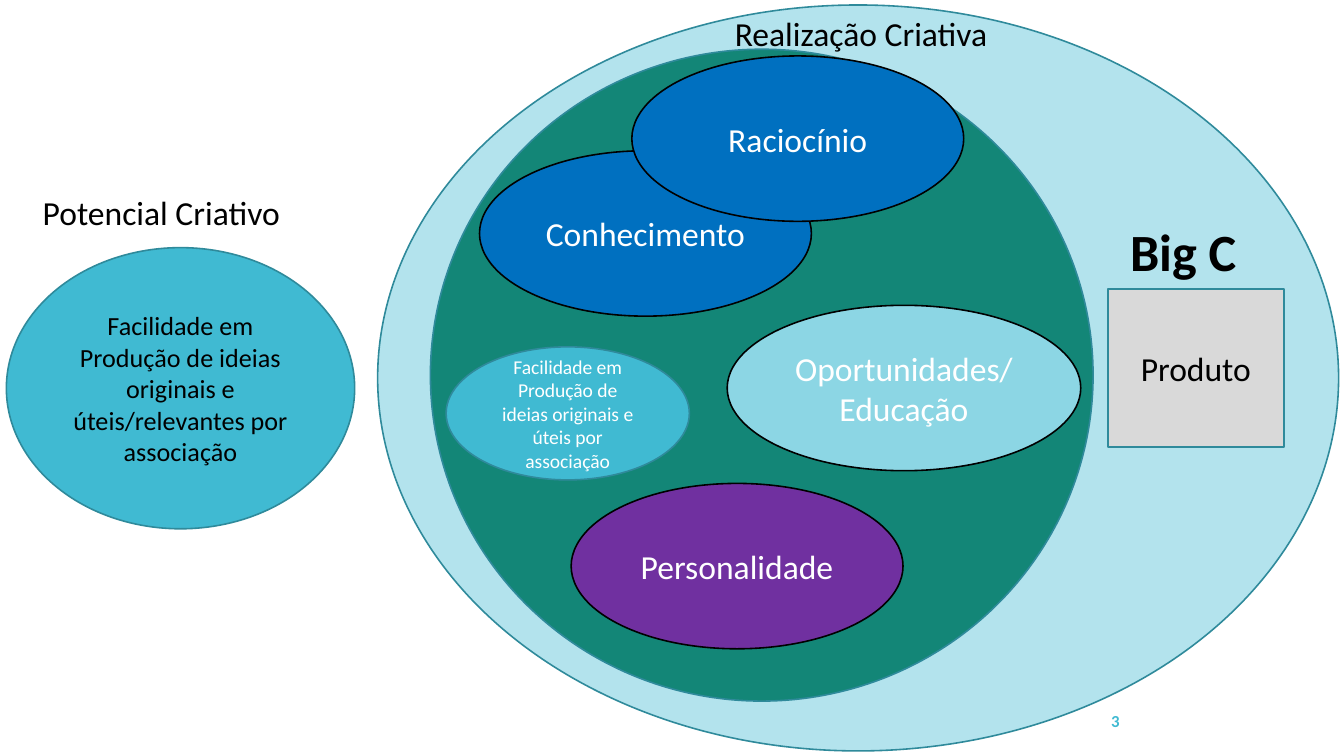
from pptx import Presentation
from pptx.dml.color import RGBColor
from pptx.enum.shapes import MSO_SHAPE
from pptx.enum.text import MSO_ANCHOR, PP_ALIGN
from pptx.util import Pt

OVAL, RECTANGLE = MSO_SHAPE.OVAL, MSO_SHAPE.RECTANGLE
MIDDLE = MSO_ANCHOR.MIDDLE
LEFT, CENTER, RIGHT = PP_ALIGN.LEFT, PP_ALIGN.CENTER, PP_ALIGN.RIGHT

BLACK = RGBColor(0x00, 0x00, 0x00)
WHITE = RGBColor(0xFF, 0xFF, 0xFF)
TEAL = RGBColor(0x40, 0xBA, 0xD2)
TEAL_OUTLINE = RGBColor(0x2F, 0x8A, 0x9B)
PALE_TEAL = RGBColor(0xB3, 0xE3, 0xED)
LIGHT_TEAL = RGBColor(0x8C, 0xD6, 0xE4)
GREEN = RGBColor(0x13, 0x86, 0x77)
BLUE = RGBColor(0x00, 0x70, 0xC0)
PURPLE = RGBColor(0x70, 0x30, 0xA0)
GRAY = RGBColor(0xD9, 0xD9, 0xD9)

FACTOR_WIDTH, FACTOR_HEIGHT = 177.8, 88.6


def write_text(shape, text, size, color, align, bold=False):
    """Put one formatted paragraph into a shape."""
    para = shape.text_frame.paragraphs[0]
    para.text = text
    para.alignment = align
    para.font.name = "Calibri"
    para.font.size = Pt(size)
    para.font.bold = bold
    para.font.color.rgb = color


def add_figure(page, kind, bounds, fill, outline=TEAL_OUTLINE,
               text="", size=18, color=WHITE):
    """Add a filled, outlined shape with optional centred text."""
    shape = page.shapes.add_shape(kind, *map(Pt, bounds))
    shape.shadow.inherit = False
    shape.fill.solid()
    shape.fill.fore_color.rgb = fill
    shape.line.color.rgb = outline
    shape.line.width = Pt(0.85)
    shape.text_frame.vertical_anchor = MIDDLE
    if text:
        write_text(shape, text, size, color, CENTER)


def add_factor(page, left, top, fill, text, width=FACTOR_WIDTH):
    """Add a black-outlined oval naming a factor of creative achievement."""
    add_figure(page, OVAL, (left, top, width, FACTOR_HEIGHT), fill, BLACK, text)


def add_label(page, bounds, text, size=18, bold=False):
    """Add a single-line black label."""
    box = page.shapes.add_textbox(*map(Pt, bounds))
    box.text_frame.word_wrap = False
    write_text(box, text, size, BLACK, LEFT, bold)


def add_page_number(page, number):
    """Add the page number at the lower right."""
    box = page.shapes.add_textbox(Pt(516.2), Pt(375.1), Pt(90.7), Pt(21.6))
    box.text_frame.word_wrap = True
    box.text_frame.vertical_anchor = MIDDLE
    write_text(box, number, 9, TEAL, RIGHT, bold=True)


def main():
    """Build the diagram of creative potential and achievement."""
    deck = Presentation()
    deck.slide_width, deck.slide_height = Pt(720), Pt(405)
    page = deck.slides.add_slide(deck.slide_layouts[6])

    add_figure(page, OVAL, (202.3, 2.7, 514.8, 399.6), PALE_TEAL)
    add_page_number(page, "3")
    add_figure(page, OVAL, (3.4, 132.7, 186.6, 150.6), TEAL,
               text="Facilidade em Produção de ideias originais e "
                    "úteis/relevantes por associação", size=14, color=BLACK)
    add_figure(page, OVAL, (230.6, 26.4, 355, 349.2), GREEN)
    add_label(page, (15.8, 99.4, 145.4, 28.8), "Potencial Criativo")

    add_factor(page, 256.9, 80.8, BLUE, "Conhecimento")
    add_factor(page, 306, 259, PURPLE, "Personalidade")
    add_factor(page, 389.6, 163.6, LIGHT_TEAL, "Oportunidades/ Educação", 189.4)
    add_factor(page, 338.5, 30, BLUE, "Raciocínio")

    add_figure(page, OVAL, (239, 185.8, 130.3, 71.3), TEAL,
               text="Facilidade em Produção de ideias originais e "
                    "úteis por associação", size=10.5)
    add_label(page, (386.6, 3.6, 155.5, 28.8), "Realização Criativa")
    add_label(page, (598.3, 113.8, 76.3, 41), "Big C", size=28, bold=True)
    add_figure(page, RECTANGLE, (593.5, 154.9, 94.3, 84.5), GRAY,
               text="Produto", color=BLACK)

    deck.save("out.pptx")


if __name__ == "__main__":
    main()
